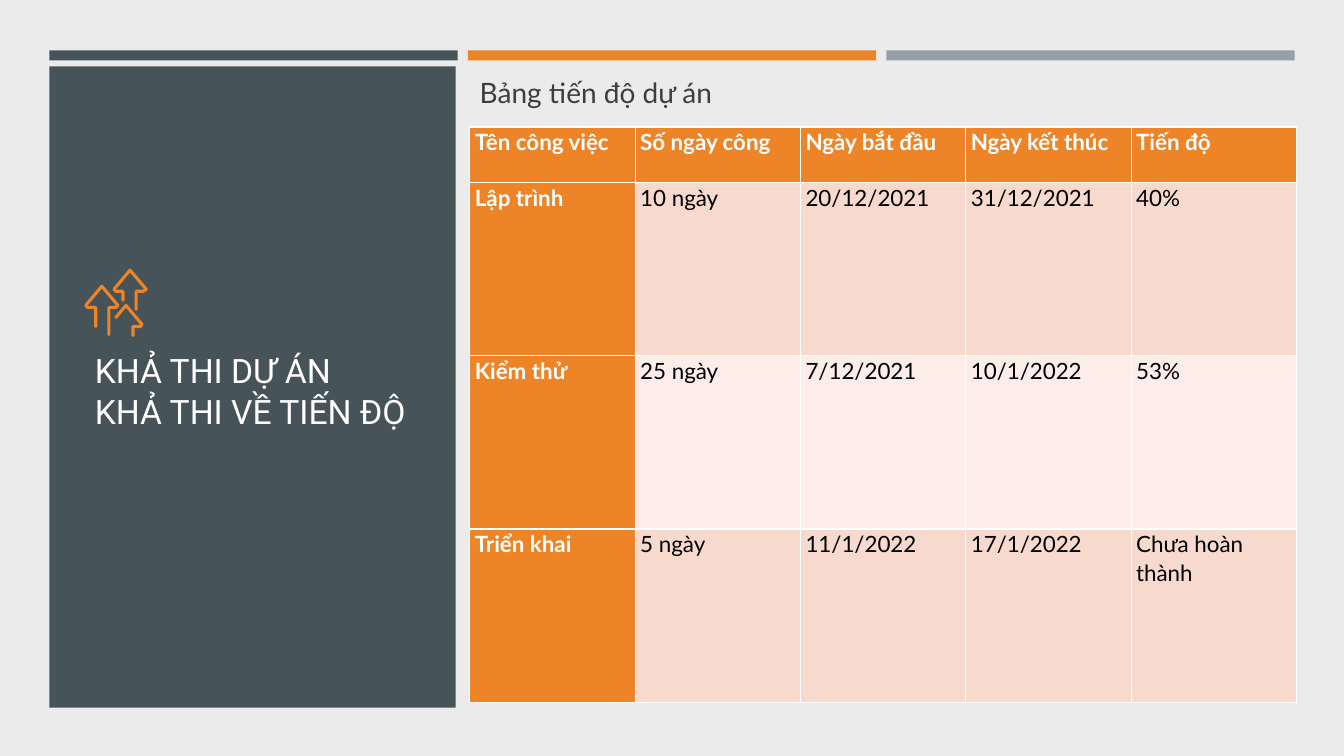
from collections import namedtuple
from lxml.etree import SubElement
from pptx import Presentation
from pptx.dml.color import RGBColor
from pptx.enum.shapes import MSO_SHAPE
from pptx.enum.text import MSO_ANCHOR, MSO_AUTO_SIZE, PP_ALIGN
from pptx.oxml.ns import qn
from pptx.util import Inches, Pt

Box = namedtuple("Box", "left top width height")

SLATE, ORANGE, GREY = "465359", "ED8428", "969FA7"
PALE, PALER, WHITE, BLACK = "F8D9CD", "FCEDE8", "FFFFFF", "000000"

BAR_WIDTH, BAR_GAP, BAR_HEIGHT = 4.05, 0.1, 0.1
HEADER_SHARE = 0.55 / 5.71

SCHEDULE = [
    ["Tên công việc", "Số ngày công", "Ngày bắt đầu", "Ngày kết thúc", "Tiến độ"],
    ["Lập trình", "10 ngày", "20/12/2021", "31/12/2021", "40%"],
    ["Kiểm thử", "25 ngày", "7/12/2021", "10/1/2022", "53%"],
    ["Triển khai", "5 ngày", "11/1/2022", "17/1/2022", "Chưa hoàn thành"],
]

ARROW_STROKES = [
    [(0.11, 0.57), (0.11, 0.38), (0.03, 0.38), (0.01, 0.36), (0.17, 0.17),
     (0.33, 0.36), (0.31, 0.38), (0.24, 0.38), (0.24, 0.65)],
    [(0.38, 0.31), (0.38, 0.22), (0.31, 0.22), (0.29, 0.2), (0.45, 0.01),
     (0.61, 0.2), (0.58, 0.22), (0.51, 0.22), (0.51, 0.4)],
    [(0.31, 0.48), (0.41, 0.36), (0.57, 0.55), (0.55, 0.57), (0.48, 0.57),
     (0.48, 0.66)],
]


def color(value):
    return RGBColor.from_string(value)


def inches(box):
    return [Inches(length) for length in box]


def format_text(paragraph, font_name, size, fill, bold=False):
    for run in paragraph.runs:
        run.font.name = font_name
        run.font.size = Pt(size)
        run.font.bold = bold
        run.font.color.rgb = color(fill)


def add_block(slide, box, fill):
    block = slide.shapes.add_shape(MSO_SHAPE.RECTANGLE, *inches(box))
    block.shadow.inherit = False
    block.fill.solid()
    block.fill.fore_color.rgb = color(fill)
    block.line.fill.background()


def add_top_bars(slide, box):
    for column, fill in enumerate([SLATE, ORANGE, GREY]):
        left = box.left + column * (BAR_WIDTH + BAR_GAP)
        add_block(slide, Box(left, box.top, BAR_WIDTH, box.height), fill)


def add_arrows_icon(slide, box):
    for stroke in ARROW_STROKES:
        points = [(Inches(box.left + x), Inches(box.top + y)) for x, y in stroke]
        builder = slide.shapes.build_freeform(*points[0])
        builder.add_line_segments(points[1:], close=False)
        arrow = builder.convert_to_shape()
        arrow.shadow.inherit = False
        arrow.fill.background()
        arrow.line.color.rgb = color(ORANGE)
        arrow.line.width = Pt(2.2)
        outline = arrow.element.spPr.find(qn("a:ln"))
        outline.set("cap", "rnd")
        SubElement(outline, qn("a:round"))


def add_title_panel(slide, box):
    add_block(slide, box, SLATE)
    add_arrows_icon(slide, Box(box.left + 0.35, box.top + 2.01, 0.62, 0.67))
    title = slide.shapes.title
    title.element.getparent().append(title.element)
    title.left, title.top, title.width, title.height = inches(
        Box(box.left + 0.35, box.top + 2.24, 3.7, 1.95))
    frame = title.text_frame
    frame.text = "KHẢ THI DỰ ÁN\vKHẢ THI VỀ TIẾN ĐỘ"
    frame.word_wrap = True
    frame.auto_size = MSO_AUTO_SIZE.NONE
    frame.vertical_anchor = MSO_ANCHOR.MIDDLE
    heading = frame.paragraphs[0]
    heading.alignment = PP_ALIGN.LEFT
    format_text(heading, "Roboto", 24, WHITE)


def add_caption(slide, box):
    frame = slide.shapes.add_textbox(*inches(box)).text_frame
    frame.text = "Bảng tiến độ dự án"
    frame.word_wrap = True
    caption = frame.paragraphs[0]
    caption.space_after = Pt(6)
    format_text(caption, "Lato", 20, "3D3D3D")


def fill_cell(cell, text, fill, is_heading):
    cell.margin_left = cell.margin_right = Inches(0.05)
    cell.margin_top = cell.margin_bottom = 0
    cell.fill.solid()
    cell.fill.fore_color.rgb = color(fill)
    cell.text_frame.text = text
    entry = cell.text_frame.paragraphs[0]
    entry.line_spacing = 1.07
    format_text(entry, "Lato", 16, WHITE if is_heading else BLACK, is_heading)


def add_schedule(slide, box):
    row_count, column_count = len(SCHEDULE), len(SCHEDULE[0])
    schedule = slide.shapes.add_table(row_count, column_count, *inches(box)).table
    schedule.first_col = True
    header_height = box.height * HEADER_SHARE
    task_height = (box.height - header_height) / (row_count - 1)
    for column in schedule.columns:
        column.width = Inches(box.width / column_count)
    for r, entries in enumerate(SCHEDULE):
        schedule.rows[r].height = Inches(task_height if r else header_height)
        for c, text in enumerate(entries):
            is_heading = r == 0 or c == 0
            band = PALE if r % 2 else PALER
            fill_cell(schedule.cell(r, c), text, ORANGE if is_heading else band, is_heading)


def add_schedule_region(slide, box):
    caption_height = 0.56
    add_caption(slide, Box(box.left, box.top, box.width, caption_height))
    add_schedule(slide, Box(box.left, box.top + caption_height,
                            box.width, box.height - caption_height))


def main():
    presentation = Presentation()
    presentation.slide_width = Inches(13.33)
    presentation.slide_height = Inches(7.5)
    slide = presentation.slides.add_slide(presentation.slide_layouts[5])
    slide.background.fill.solid()
    slide.background.fill.fore_color.rgb = color("EBEBEB")
    add_top_bars(slide, Box(0.49, 0.5, 12.35, BAR_HEIGHT))
    add_title_panel(slide, Box(0.49, 0.66, 4.03, 6.36))
    add_schedule_region(slide, Box(4.66, 0.7, 8.2, 6.27))
    presentation.save("out.pptx")


if __name__ == "__main__":
    main()
